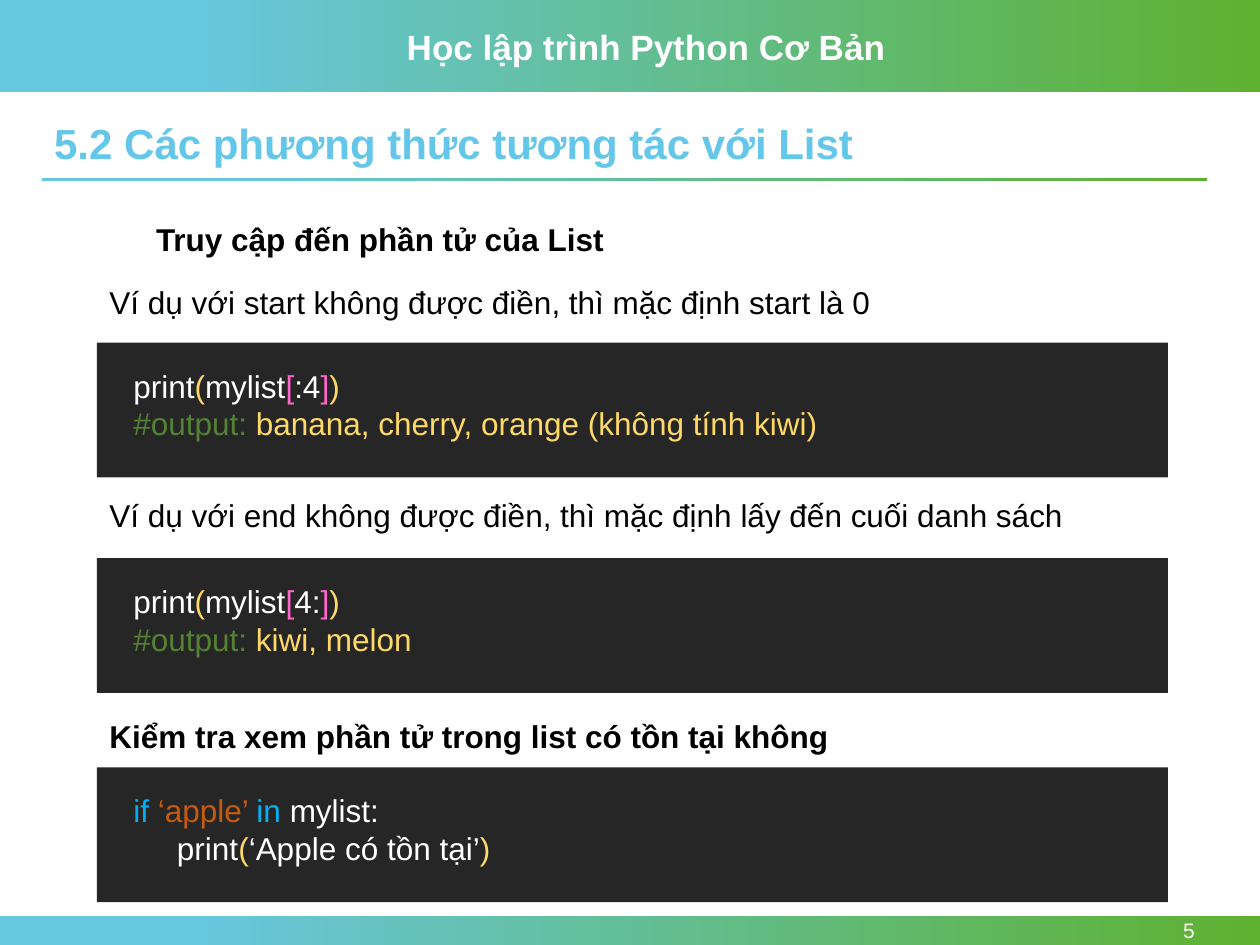
from pptx import Presentation
from pptx.dml.color import RGBColor
from pptx.enum.shapes import MSO_SHAPE
from pptx.enum.text import MSO_ANCHOR, MSO_AUTO_SIZE, PP_ALIGN
from pptx.util import Inches, Pt

WHITE, BLACK, PANEL = "FFFFFF", "000000", "262626"
YELLOW, PINK, GREEN = "FFD966", "FF66CC", "548235"
BLUE, ORANGE, SKY = "00B0F0", "C55A11", "64C7E9"

deck = Presentation()
deck.slide_width, deck.slide_height = Inches(10), Inches(7.5)
column, row = deck.slide_width / 100, deck.slide_height / 100
slide = deck.slides.add_slide(deck.slide_layouts[5])
rgb = RGBColor.from_string


def area(left, top, width, height):
    return [int(left * column), int(top * row), int(width * column), int(height * row)]


def write(box, lines, size=18, bold=False, align=PP_ALIGN.LEFT, anchor=MSO_ANCHOR.TOP, spacing=1.0):
    frame = box.text_frame
    frame.word_wrap = True
    frame.auto_size = MSO_AUTO_SIZE.NONE
    frame.vertical_anchor = anchor
    for index, pieces in enumerate(lines):
        paragraph = frame.add_paragraph() if index else frame.paragraphs[0]
        paragraph.alignment = align
        paragraph.line_spacing = spacing
        for words, color in pieces:
            run = paragraph.add_run()
            run.text = words
            run.font.name = "Arial"
            run.font.size = Pt(size)
            run.font.bold = bold
            run.font.color.rgb = rgb(color)


for band in [(0, 0, 100, 9.73), (0, 96.93, 100, 3.07), (3.3, 18.8, 92.5, 0.4)]:
    stripe = slide.shapes.add_shape(MSO_SHAPE.RECTANGLE, *area(*band))
    stripe.shadow.inherit = False
    stripe.line.fill.background()
    stripe.fill.gradient()
    stripe.fill.gradient_angle = 0
    start, end = stripe.fill.gradient_stops
    start.position, end.position = 0.15, 1
    start.color.rgb, end.color.rgb = rgb("67C7DF"), rgb("5EB130")

course = slide.shapes.add_textbox(*area(31.3, 2, 40, 5.87))
write(course, [[("Học lập trình Python Cơ Bản", WHITE)]], size=20, bold=True)

page = slide.shapes.add_textbox(*area(86.6, 96.93, 9.2, 3.07))
write(page, [[("5", WHITE)]], size=12, align=PP_ALIGN.RIGHT, anchor=MSO_ANCHOR.MIDDLE)

heading = slide.shapes.title
heading.left, heading.top, heading.width, heading.height = area(3.3, 12.4, 92.5, 6.13)
write(heading, [[("5.2 Các phương thức tương tác với List", SKY)]], size=24, bold=True, spacing=0.9)

topic = slide.shapes.add_textbox(*area(11.4, 22.67, 70.3, 5.33))
write(topic, [[("Truy cập đến phần tử của List", BLACK)]], bold=True)

slices = [
    [
        [("print", WHITE), ("(", YELLOW), ("mylist", WHITE), ("[", PINK),
         (bounds, WHITE), ("]", PINK), (")", YELLOW)],
        [("#output: ", GREEN), (output, YELLOW)],
    ]
    for bounds, output in [
        (":4", "banana, cherry, orange (không tính kiwi)"),
        ("4:", "kiwi, melon"),
    ]
]
membership = [
    [("if ", BLUE), ("‘apple’ ", ORANGE), ("in ", BLUE), ("mylist:", WHITE)],
    [("     print", WHITE), ("(", YELLOW), ("‘Apple có tồn tại’", WHITE), (")", YELLOW)],
]
examples = [
    (29.33, 36.27, "Ví dụ với start không được điền, thì mặc định start là 0", False, slices[0]),
    (51.87, 59.07, "Ví dụ với end không được điền, thì mặc định lấy đến cuối danh sách", False, slices[1]),
    (75.2, 81.2, "Kiểm tra xem phần tử trong list có tồn tại không", True, membership),
]

for caption_top, panel_top, sentence, bold, code in examples:
    caption = slide.shapes.add_textbox(*area(7.7, caption_top, 84.2, 5.33))
    write(caption, [[(sentence, BLACK)]], bold=bold)
    panel = slide.shapes.add_shape(MSO_SHAPE.RECTANGLE, *area(7.7, panel_top, 85, 14.27))
    panel.shadow.inherit = False
    panel.line.fill.background()
    panel.fill.solid()
    panel.fill.fore_color.rgb = rgb(PANEL)
    listing = slide.shapes.add_textbox(*area(9.6, panel_top + 1.87, 81, 9.47))
    write(listing, code)

deck.save("out.pptx")
